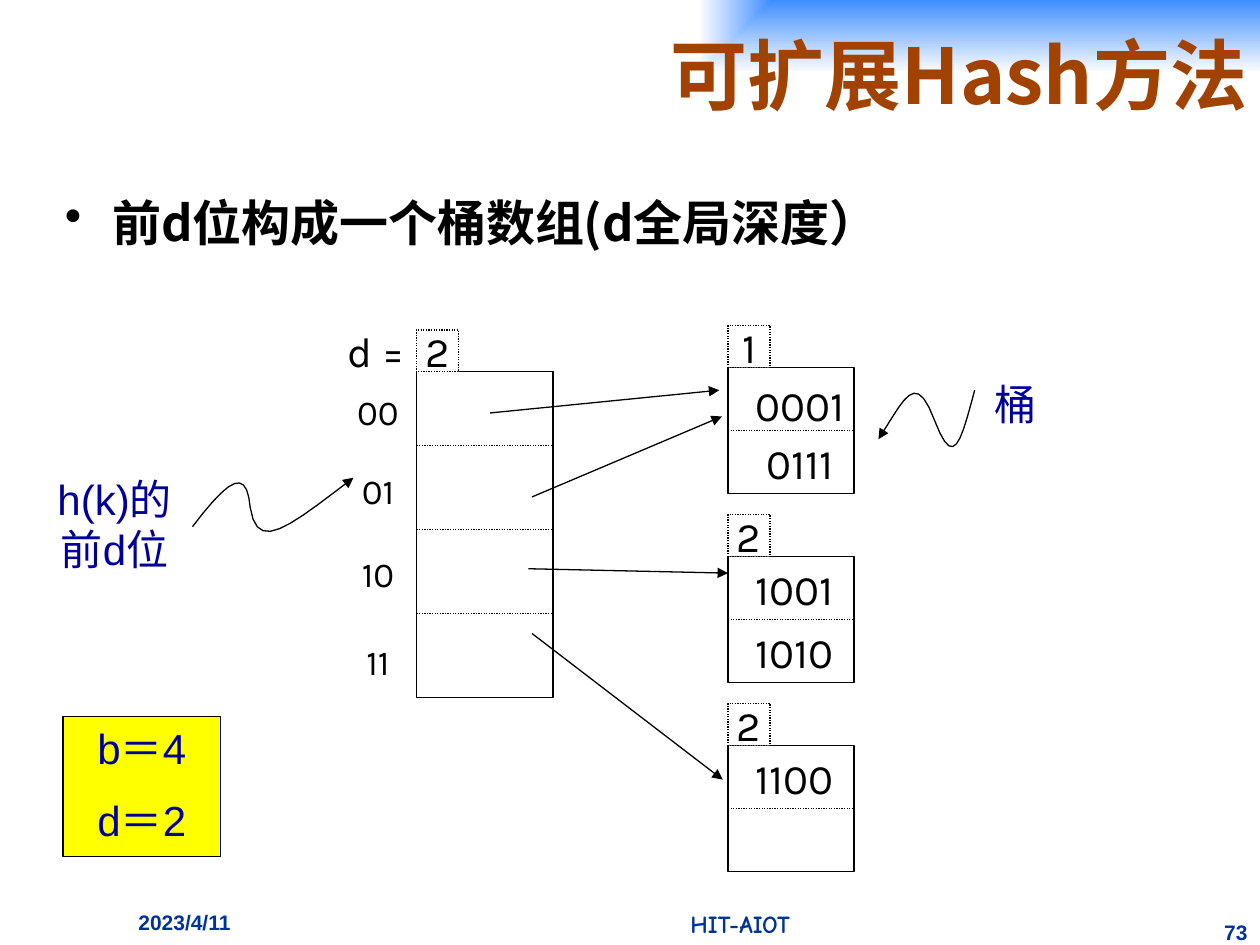
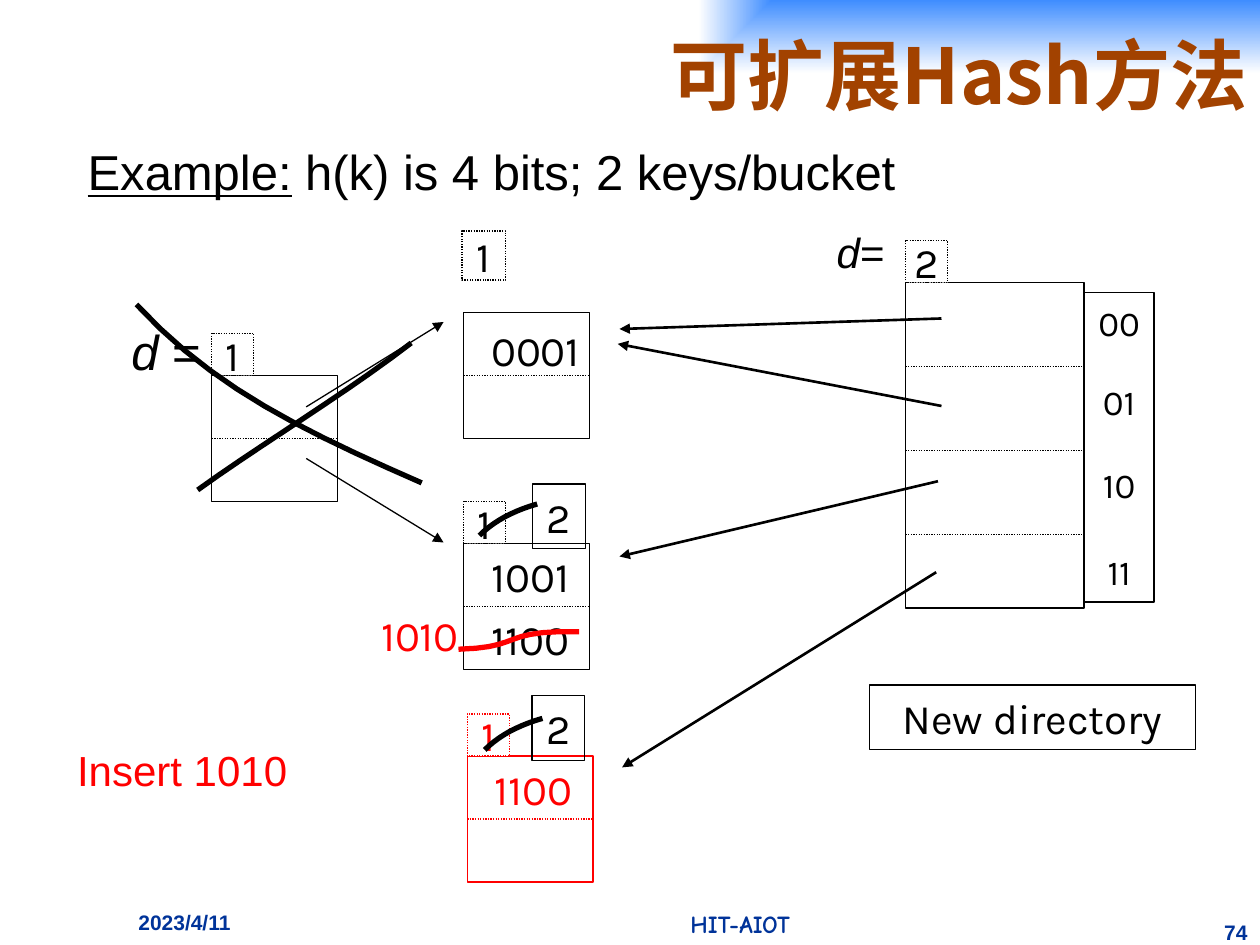
import math

import pptx
import pptx.dml.color
import pptx.enum.dml
import pptx.enum.shapes
import pptx.enum.text
import pptx.oxml
import pptx.oxml.ns
import pptx.util
from lxml import etree

Pt = pptx.util.Pt
qn = pptx.oxml.ns.qn
color_of = pptx.dml.color.RGBColor.from_string
Align = pptx.enum.text.PP_ALIGN
Anchor = pptx.enum.text.MSO_ANCHOR
RECTANGLE = pptx.enum.shapes.MSO_SHAPE.RECTANGLE
STRAIGHT = pptx.enum.shapes.MSO_CONNECTOR.STRAIGHT

BLACK, WHITE, RED, YELLOW = "000000", "FFFFFF", "FF0000", "FFFF00"
NAVY, FOOTER_BLUE, TITLE_BROWN = "000099", "003399", "A24200"
BAND_GRADIENT = f"""<a:gradFill {pptx.oxml.ns.nsdecls("a")} rotWithShape="1"><a:gsLst>
<a:gs pos="0"><a:srgbClr val="3F8DFF"/></a:gs><a:gs pos="100000"><a:srgbClr val="FFFFFF"/></a:gs>
</a:gsLst><a:path path="rect"><a:fillToRect l="100000" b="100000"/></a:path></a:gradFill>"""


def write(box, text, size=24, font="Karla", color=BLACK, bold=False, align=Align.CENTER,
          anchor=Anchor.MIDDLE, wrap=False, spacings=(1,), gap=0, bullet=False,
          italic_lead="", underlined_lead=""):
    frame = box.text_frame
    frame.word_wrap = wrap
    frame.auto_size = pptx.enum.text.MSO_AUTO_SIZE.NONE
    frame.vertical_anchor = anchor
    lead = italic_lead or underlined_lead
    for index, line in enumerate(text.split("\n")):
        para = frame.add_paragraph() if index else frame.paragraphs[0]
        para.alignment = align
        para.space_before = Pt(gap if index else 0)
        if spacings[index % len(spacings)] != 1:
            para.line_spacing = spacings[index % len(spacings)]
        if bullet:
            properties = para._p.get_or_add_pPr()
            properties.set("marL", str(Pt(27)))
            properties.set("indent", str(Pt(-27)))
            etree.SubElement(properties, qn("a:buChar")).set("char", "•")
        for position, part in enumerate(line.split("\v")):
            if position:
                para.add_line_break()
            for piece in filter(None, (lead, part[len(lead):])):
                span = para.add_run()
                span.text = piece
                span.font.size = Pt(size)
                span.font.bold = bold
                span.font.italic = bool(italic_lead) and piece == lead
                span.font.underline = bool(underlined_lead) and piece == lead
                span.font.color.rgb = color_of(color)
                span.font.name = font
                etree.SubElement(span._r.get_or_add_rPr(), qn("a:ea")).set("typeface", font)


def outline(shape, color=BLACK, width=0.75, dotted=False, arrow=False):
    shape.line.color.rgb = color_of(color)
    shape.line.width = Pt(width)
    if dotted:
        shape.line.dash_style = pptx.enum.dml.MSO_LINE.ROUND_DOT
    if arrow:
        etree.SubElement(shape.line._get_or_add_ln(), qn("a:tailEnd")).set("type", "triangle")
    etree.SubElement(shape._element.spPr, qn("a:effectLst"))


arial = dict(font="Arial", wrap=True)
top_left = dict(arial, align=Align.LEFT, anchor=Anchor.TOP)
blue_note = dict(arial, color=NAVY, anchor=Anchor.TOP)
footer = dict(wrap=True, color=FOOTER_BLUE, bold=True, anchor=Anchor.TOP)
prefix_column = dict(size=20, spacings=(1, 1.4, 1.5, 1.6), gap=11.5)
prefixes = "00\n01\n10\n11"

cell = 36
entry = 48
badge_side = 24
key_size = (76, 37)
depth_size = (30, 37)
variable_size = (62, 45)
column_size = (40, 177)
badge_strike = [(0, 18), (8, 10), (19, 4), (33, 0)]

pages = [
    dict(
        number="73",
        buckets=[(416, 210 + 3 * cell * row, depth, BLACK, keys) for row, (depth, keys) in
                 enumerate([("1", ["0001", "0111"]), ("2", ["1001", "1010"]), ("2", ["1100"])])],
        directory=(238, 212.5, 78, 42),
        labels=[
            ((30, 106.5, 679, 42), "前d位构成一个桶数组(d全局深度）", None, "",
             dict(top_left, size=28, font="Noto Sans CJK JP", bold=True, bullet=True)),
            ((196, 218, *column_size), prefixes, None, "", prefix_column),
            ((177, 182, *key_size), "d =", None, "", {}),
            ((36, 409.5, 90, 80), "b＝4\nd＝2", YELLOW, "solid", dict(blue_note, gap=12)),
            ((24, 267, 83, 65), "h(k)的\v前d位", None, "", blue_note),
            ((542, 213, *key_size), "桶", None, "", blue_note),
        ],
        arrows=[(280, 236, 411, 223), (304, 284, 412.5, 238),
                (302, 325, 416, 327.5), (304, 362, 413, 445.5)],
        thick_arrows=[],
        curves=[
            (0, 0, BLACK, True, [(110, 301), (132, 272), (141, 268), (143, 290),
                                 (147, 316), (164, 302), (202, 273)]),
            (0, 0, BLACK, True, [(557, 223), (549, 253), (545, 269), (534, 240),
                                 (523, 211), (517, 228), (502, 251)]),
        ],
    ),
    dict(
        number="74",
        buckets=[
            (121, 214.5, "1", BLACK, []),
            (265, 178.5, "", BLACK, ["0001"]),
            (265, 310.5, "1", BLACK, ["1001", "1100"]),
            (267, 432, "1", RED, ["1100"]),
        ],
        directory=(517.5, 161.5, 102, entry),
        labels=[
            ((43, 55, 655, 90), "Example: h(k) is 4 bits; 2 keys/bucket", None, "",
             dict(arial, size=28, align=Align.LEFT, spacings=(0.9,), underlined_lead="Example:")),
            ((68, 180, *variable_size), "d =", None, "",
             dict(top_left, size=28, italic_lead="d")),
            ((471, 126, *variable_size), "d=", None, "", dict(top_left, italic_lead="d")),
            ((37, 419, 180, 45), "Insert 1010", None, "",
             dict(arial, color=RED, align=Align.LEFT, spacings=(0.9,))),
            ((202, 344, *key_size), "1010", None, "", dict(color=RED)),
            ((497, 391.5, 186, 37), "New directory", None, "solid", {}),
            ((619.5, 167, *column_size), prefixes, None, "solid", prefix_column),
            ((304, 397.5, *depth_size), "2", None, "solid", {}),
            ((304.5, 276.5, *depth_size), "2", None, "solid", {}),
            ((264, 132, 25, 28), "1", WHITE, "dotted", {}),
        ],
        arrows=[(175, 232.5, 253.5, 184), (175, 262, 253.5, 310)],
        thick_arrows=[(538, 182, 354, 188), (538, 232, 353, 196.5),
                      (536, 275, 354, 318), (535, 327, 355.5, 438.5)],
        curves=[
            (0, 0, RED, False, [(262, 371), (300, 370), (285, 360), (331, 361)]),
            (274, 288, BLACK, False, badge_strike),
            (277, 410.5, BLACK, False, badge_strike),
            (0, 0, BLACK, False, [(113, 280), (152, 252), (196, 226), (235, 196)]),
            (0, 0, BLACK, False, [(78, 174), (122, 222), (175, 247), (241, 276)]),
        ],
    ),
]

deck = pptx.Presentation()
deck.slide_width, deck.slide_height = Pt(720), Pt(540)

for content in pages:
    page = deck.slides.add_slide(deck.slide_layouts[5])
    shapes = page.shapes

    title = shapes.title
    title.left, title.top, title.width, title.height = Pt(78), Pt(0), Pt(642), Pt(84)
    title._element.spPr.append(pptx.oxml.parse_xml(BAND_GRADIENT))
    write(title, "可扩展Hash方法", size=44, font="Noto Sans CJK SC", color=TITLE_BROWN,
          bold=True, align=Align.RIGHT, wrap=True)

    for left, top, width, text, size, font, align in [
        (72, 516, 126, "2023/4/11", 12, "Arial", Align.LEFT),
        (252, 516, 342, "HIT-AIOT", 14, "Comic Neue", Align.CENTER),
        (690, 522, 30, content["number"], 12, "Arial", Align.RIGHT),
    ]:
        box = shapes.add_textbox(Pt(left), Pt(top), Pt(width), Pt(deck.slide_height.pt - top))
        write(box, text, size=size, font=font, align=align, **footer)

    stacks = [(left, top, 2 * cell, 2 * cell, cell, depth, color, keys)
              for left, top, depth, color, keys in content["buckets"]]
    left, top, width, first_entry = content["directory"]
    stacks.append((left, top, width, 186, first_entry, "2", BLACK, []))

    for left, top, width, height, first_divider, depth, color, keys in stacks:
        stack = shapes.add_shape(RECTANGLE, Pt(left), Pt(top), Pt(width), Pt(height))
        stack.fill.solid()
        stack.fill.fore_color.rgb = color_of(WHITE)
        outline(stack, color)
        if depth:
            badge = shapes.add_shape(RECTANGLE, Pt(left), Pt(top - badge_side),
                                     Pt(badge_side), Pt(badge_side))
            badge.fill.solid()
            badge.fill.fore_color.rgb = color_of(WHITE)
            outline(badge, color, dotted=True)
            write(badge, depth, color=color)
        for offset in range(first_divider, height, entry):
            divider = shapes.add_connector(STRAIGHT, Pt(left), Pt(top + offset),
                                           Pt(left + width), Pt(top + offset))
            if offset == height / 2:
                divider.begin_connect(stack, 1)
                divider.end_connect(stack, 3)
            outline(divider, color, dotted=True)
        for row, key in enumerate(keys):
            nudge = 3 if key.startswith("0") else 0
            box = shapes.add_textbox(Pt(left + nudge), Pt(top + cell * row + nudge * (1 - row)),
                                     *map(Pt, key_size))
            write(box, key, color=color)

    for area, text, fill, border, style in content["labels"]:
        if border:
            box = shapes.add_shape(RECTANGLE, *map(Pt, area))
            outline(box, dotted=border == "dotted")
        else:
            box = shapes.add_textbox(*map(Pt, area))
        if fill:
            box.fill.solid()
            box.fill.fore_color.rgb = color_of(fill)
        else:
            box.fill.background()
        write(box, text, **style)

    for group, width in (("arrows", 0.75), ("thick_arrows", 1.5)):
        for ends in content[group]:
            arrow = shapes.add_connector(STRAIGHT, *map(Pt, ends))
            outline(arrow, width=width, arrow=True)

    for shift_x, shift_y, color, arrow, controls in content["curves"]:
        points = []
        for first in range(0, len(controls) - 1, 3):
            for step in range(11):
                t = step / 10
                weights = [math.comb(3, k) * t ** k * (1 - t) ** (3 - k) for k in range(4)]
                x, y = [sum(weight * value for weight, value in zip(weights, values))
                        for values in zip(*controls[first:first + 4])]
                points.append((Pt(x + shift_x), Pt(y + shift_y)))
        builder = shapes.build_freeform(*points[0])
        builder.add_line_segments(points[1:], close=False)
        curve = builder.convert_to_shape()
        curve.fill.background()
        outline(curve, color, 0.75 if arrow else 3, arrow=arrow)

deck.save("out.pptx")
